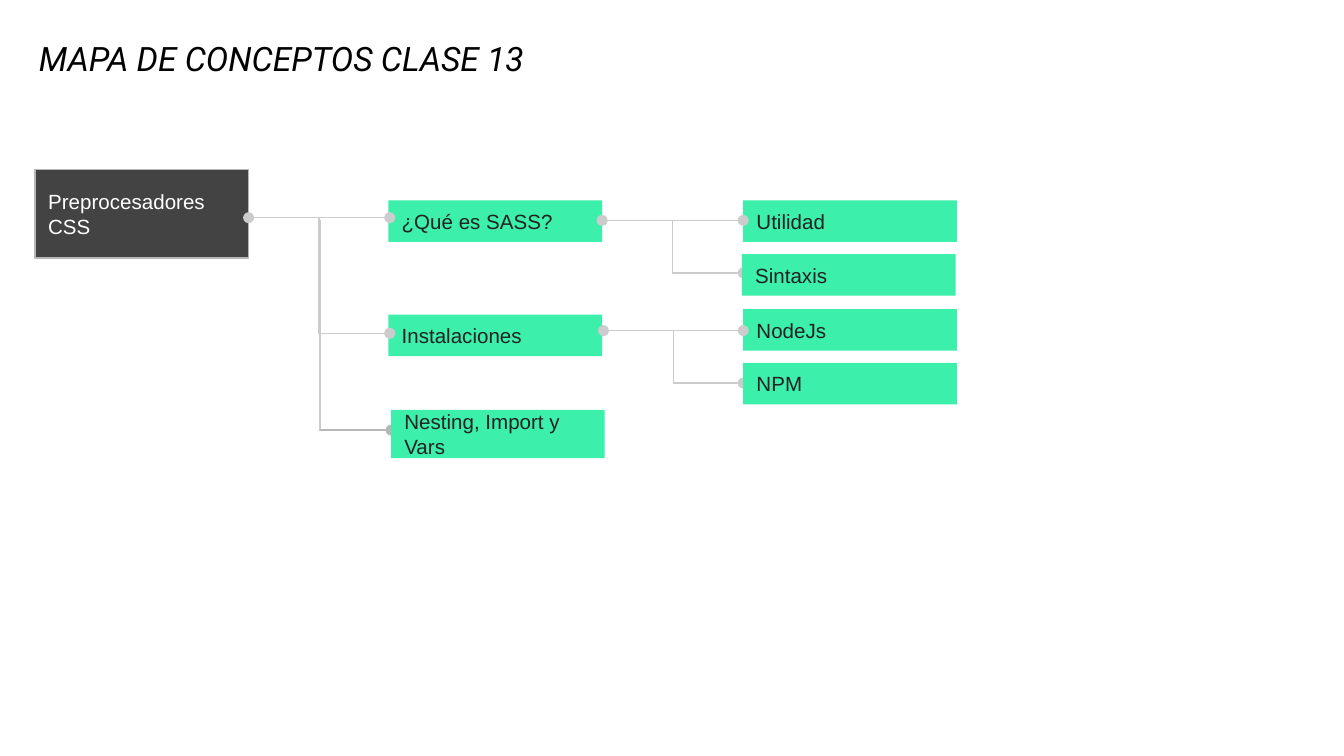
from lxml import etree
from pptx import Presentation
from pptx.dml.color import RGBColor
from pptx.enum import shapes, text
from pptx.oxml import ns
from pptx.util import Inches, Pt

DARK, GREEN, INK = "434343", "3CEFAB", "222222"
GRAY, MID_GRAY, WHITE = "CCCCCC", "B7B7B7", "FFFFFF"
BOX_W, BOX_H = 1.59, 0.31
STRAIGHT = shapes.MSO_CONNECTOR.STRAIGHT
ELBOW = shapes.MSO_CONNECTOR.ELBOW

TOPICS = [
    ("¿Qué es SASS?", 2.89, 1.49, BOX_H),
    ("Instalaciones", 2.89, 2.34, BOX_H),
    ("Nesting, Import y Vars", 2.91, 3.05, 0.36),
    ("Utilidad", 5.53, 1.49, BOX_H),
    ("Sintaxis", 5.52, 1.89, BOX_H),
    ("NodeJs", 5.53, 2.3, BOX_H),
    ("NPM", 5.53, 2.7, BOX_H),
]
# kind, start, end, color, oval at start, oval at end
LINKS_BEHIND = [
    (ELBOW, (4.48, 1.64), (5.53, 2.03), GRAY, False, True),
    (ELBOW, (4.49, 2.46), (5.53, 2.85), GRAY, False, True),
    (STRAIGHT, (2.38, 1.64), (2.38, 3.21), GRAY, False, False),
    (STRAIGHT, (2.38, 3.2), (2.91, 3.2), MID_GRAY, False, True),
]
LINKS_IN_FRONT = [
    (STRAIGHT, (1.85, 1.62), (2.9, 1.62), GRAY, True, True),
    (ELBOW, (1.85, 1.62), (2.9, 2.48), GRAY, False, True),
    (STRAIGHT, (4.48, 1.64), (5.53, 1.64), GRAY, True, True),
    (STRAIGHT, (4.49, 2.46), (5.53, 2.46), GRAY, True, True),
]


def rgb(value):
    return RGBColor.from_string(value)


def write(tf, lines, font, size, color, anchor, italic=False):
    tf.word_wrap = True
    tf.auto_size = text.MSO_AUTO_SIZE.NONE
    tf.vertical_anchor = anchor
    tf.margin_left = tf.margin_right = Inches(0.1)
    tf.margin_top = tf.margin_bottom = Inches(0.1)
    for i, line in enumerate(lines):
        p = tf.add_paragraph() if i else tf.paragraphs[0]
        p.alignment = text.PP_ALIGN.LEFT
        p.line_spacing = 1.0
        p.space_before = Pt(0)
        r = p.add_run()
        r.text = line
        r.font.name, r.font.size, r.font.italic = font, Pt(size), italic
        r.font.color.rgb = rgb(color)


def add_title(s, title):
    sp = s.shapes.title
    sp.left, sp.top = Inches(0.19), Inches(0.22)
    sp.width, sp.height = Inches(8.26), Inches(0.46)
    write(sp.text_frame, [title], "Roboto", 18, "000000",
          text.MSO_ANCHOR.BOTTOM, italic=True)


def add_box(s, lines, x, y, h, fill=GREEN, color=INK, border=None):
    sp = s.shapes.add_shape(shapes.MSO_SHAPE.RECTANGLE, Inches(x), Inches(y),
                            Inches(BOX_W), Inches(h))
    sp.shadow.inherit = False
    sp.fill.solid()
    sp.fill.fore_color.rgb = rgb(fill)
    if border:
        sp.line.color.rgb = rgb(border)
        sp.line.width = Pt(0.75)
    else:
        sp.line.fill.background()
    write(sp.text_frame, lines, "Arial", 11, color, text.MSO_ANCHOR.MIDDLE)


def add_link(s, kind, start, end, color, head, tail):
    cx = s.shapes.add_connector(kind, *map(Inches, start + end))
    cx.line.color.rgb = rgb(color)
    cx.line.width = Pt(0.75)
    ln = cx._element.spPr.find(ns.qn("a:ln"))
    for tag, shown in (("a:headEnd", head), ("a:tailEnd", tail)):
        if shown:
            etree.SubElement(ln, ns.qn(tag), type="oval")
    etree.SubElement(cx._element.spPr, ns.qn("a:effectLst"))


def main():
    prs = Presentation()
    prs.slide_width = Inches(10)
    prs.slide_height = Inches(10 * 9 / 16)
    s = prs.slides.add_slide(prs.slide_layouts[0])
    subtitle = s.placeholders[1]._element
    subtitle.getparent().remove(subtitle)

    add_title(s, "MAPA DE CONCEPTOS CLASE 13")
    for link in LINKS_BEHIND:
        add_link(s, *link)
    add_box(s, ["Preprocesadores", "CSS"], 0.26, 1.26, 0.66,
            DARK, WHITE, MID_GRAY)
    for name, x, y, h in TOPICS:
        add_box(s, [name], x, y, h)
    for link in LINKS_IN_FRONT:
        add_link(s, *link)
    prs.save("out.pptx")


if __name__ == "__main__":
    main()
